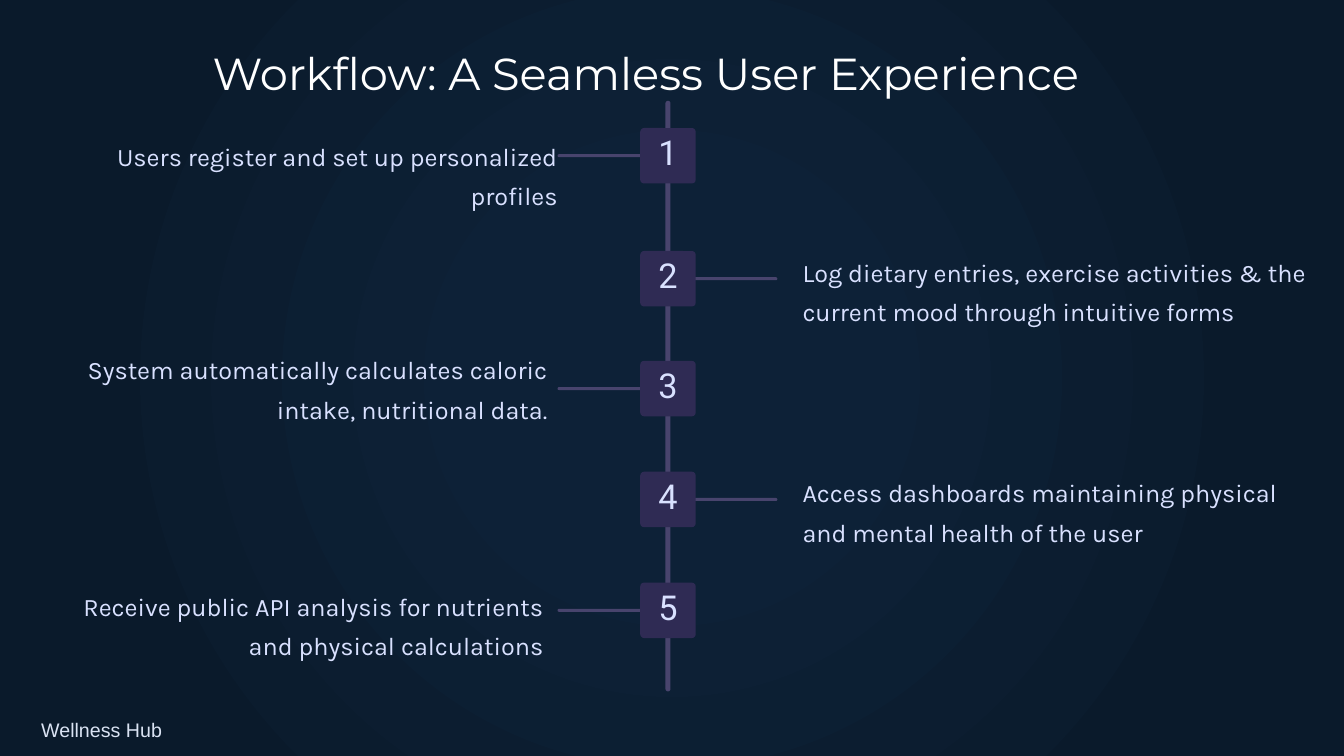
from pptx import Presentation
from pptx.dml.color import RGBColor
from pptx.enum.shapes import MSO_SHAPE as Shape
from pptx.enum.text import MSO_AUTO_SIZE as AutoSize, PP_ALIGN as Align
from pptx.oxml import parse_xml
from pptx.oxml.ns import nsdecls, qn
from pptx.util import Inches, Pt

COLORS = {
    "glow": "0D2137", "dusk": "0B1C2E", "night": "0A1A2B",
    "line": "48446D", "badge": "2F2B54",
    "title": "FFFFFF", "text": "D9E1FF", "footer": "DAE3F3",
}
GLOW_STOPS = [(0, "glow"), (23, "glow"), (69, "dusk"), (97, "night")]

# Badge top, then text, text box (left, top, width), alignment and wrapping
STEPS = [
    (1.27, "Users register and set up personalized profiles",
     (0.42, 1.31, 5.11), Align.RIGHT, False),
    (2.49, "Log dietary entries, exercise activities & the current mood "
     "through intuitive forms", (7.96, 2.46, 5.06), Align.LEFT, True),
    (3.58, "System automatically calculates caloric intake, nutritional data.",
     (0.46, 3.43, 4.97), Align.RIGHT, True),
    (4.68, "Access dashboards maintaining physical and mental health of the user",
     (7.96, 4.65, 5.2), Align.LEFT, True),
    (5.78, "Receive public API analysis for nutrients and physical calculations",
     (0.42, 5.78, 4.97), Align.RIGHT, True),
]


class TimelineSlide:
    def __init__(self, presentation):
        self.slide = presentation.slides.add_slide(presentation.slide_layouts[6])

    def radial_background(self, stops):
        self.slide.background.fill.gradient()
        gradient = self.slide.element.find(".//" + qn("a:gradFill"))
        stop_xml = "".join(
            f'<a:gs pos="{position * 1000}"><a:srgbClr val="{COLORS[color]}"/></a:gs>'
            for position, color in stops)
        gradient.getparent().replace(gradient, parse_xml(
            f'<a:gradFill {nsdecls("a")} rotWithShape="1"><a:gsLst>{stop_xml}</a:gsLst>'
            '<a:path path="circle"><a:fillToRect l="50000" t="50000" r="50000" b="50000"/>'
            '</a:path></a:gradFill>'))

    def bar(self, left, top, width, height, color, rounding=0.5):
        shape = self.slide.shapes.add_shape(
            Shape.ROUNDED_RECTANGLE, *map(Inches, (left, top, width, height)))
        shape.adjustments[0] = rounding
        shape.shadow.inherit = False
        shape.fill.solid()
        shape.fill.fore_color.rgb = RGBColor.from_string(COLORS[color])
        shape.line.fill.background()

    def text(self, box, words, size, font, color="text", align=Align.LEFT,
             spacing=None, wrap=True, inset=False):
        shape = self.slide.shapes.add_textbox(*map(Inches, box))
        frame = shape.text_frame
        frame.word_wrap = wrap
        if inset:
            frame.auto_size = AutoSize.SHAPE_TO_FIT_TEXT
        else:
            frame.margin_left = frame.margin_right = 0
            frame.margin_top = frame.margin_bottom = 0
        paragraph = frame.paragraphs[0]
        paragraph.text = words
        paragraph.alignment = align
        if spacing:
            paragraph.line_spacing = Pt(spacing)
        paragraph.font.size = Pt(size)
        paragraph.font.name = font
        paragraph.font.color.rgb = RGBColor.from_string(COLORS[color])

    def step(self, number, top, words, box, align, wrap):
        branch_left = 5.53 if align == Align.RIGHT else 6.86
        self.bar(branch_left, top + 0.26, 0.85, 0.03, "line")
        self.bar(6.35, top, 0.55, 0.55, "badge", rounding=0.067)
        self.text((6.53, top + 0.1, 0.18, 0.34), str(number), 24.5, "Roboto",
                  align=Align.CENTER, spacing=24.5, wrap=False)
        self.text((*box, 0.78), words, 18, "Karla",
                  align=align, spacing=28, wrap=wrap)


def main():
    presentation = Presentation()
    presentation.slide_width = Inches(13.33)
    presentation.slide_height = Inches(7.5)
    timeline = TimelineSlide(presentation)
    timeline.radial_background(GLOW_STOPS)

    # Title and footer
    timeline.text((2.01, 0.22, 9.98, 0.77), "Workflow: A Seamless User Experience",
                  32, "Montserrat", "title", spacing=51.5, inset=True)
    timeline.text((0.31, 7.07, 6.69, 0.34), "Wellness Hub",
                  14, "Arial", "footer", inset=True)

    # Spine and numbered steps
    timeline.bar(6.6, 1, 0.05, 5.86, "line")
    for number, step in enumerate(STEPS, start=1):
        timeline.step(number, *step)

    presentation.save("out.pptx")


if __name__ == "__main__":
    main()
